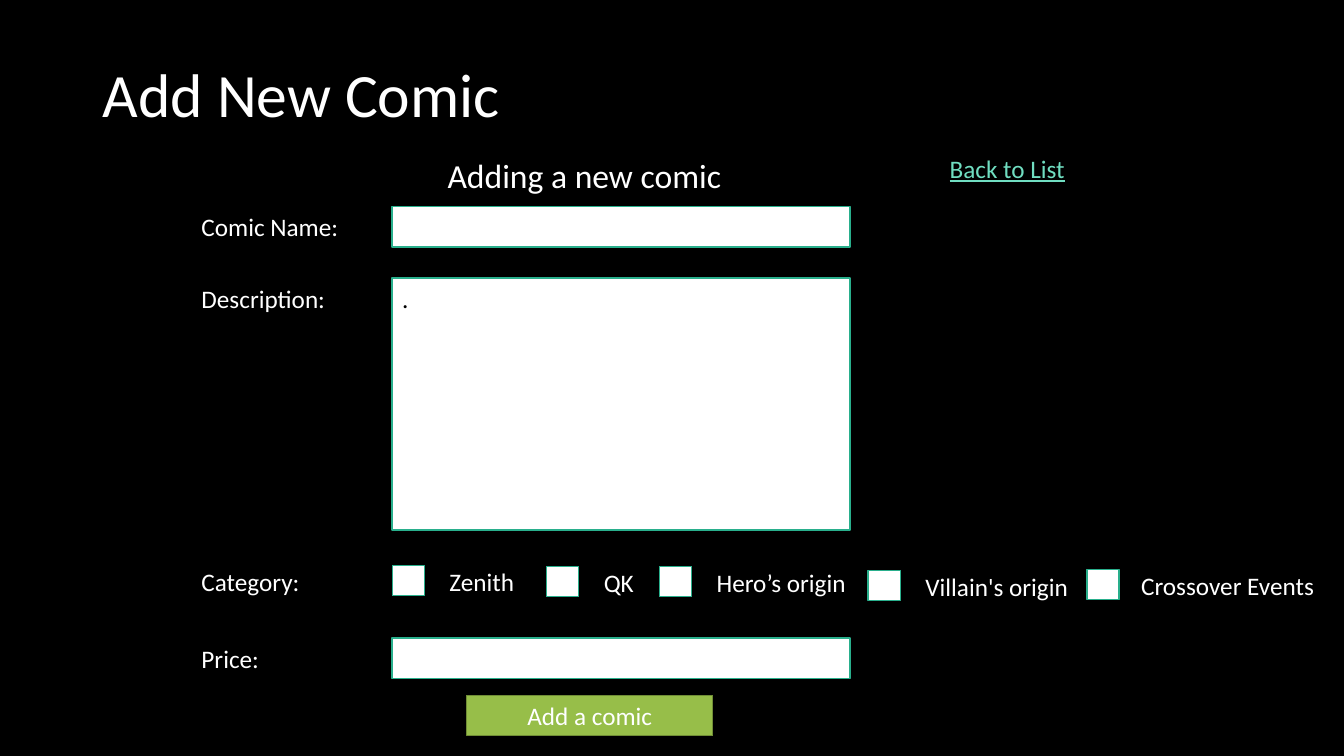
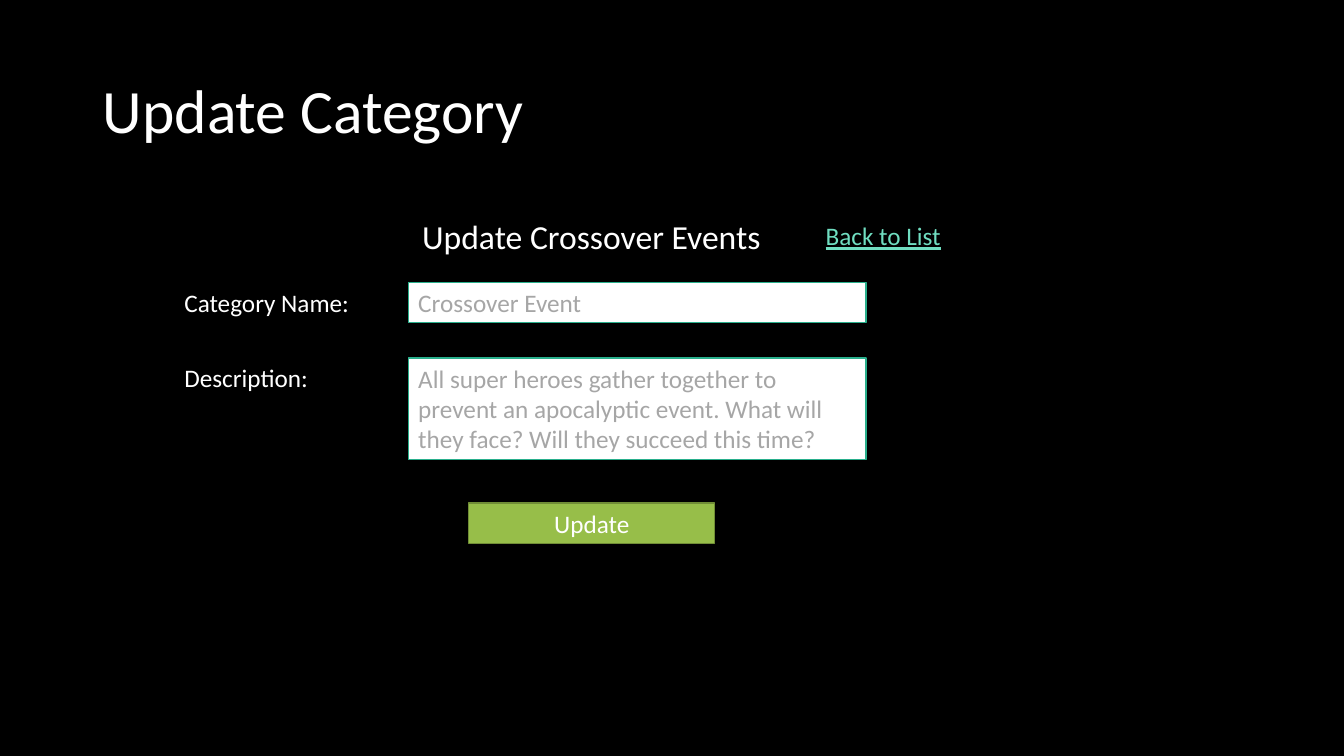
from collections import namedtuple
from dataclasses import dataclass

from pptx import Presentation
from pptx import util as u
from pptx.dml.color import RGBColor
from pptx.enum import shapes, text

PX = u.Inches(1) // 100
Box = namedtuple("Box", "left top width height")


@dataclass(frozen=True)
class Theme:
    font: str = "Calibri"
    back: str = "000000"
    light: str = "FFFFFF"
    dark: str = "000000"
    hint: str = "A6A6A6"
    link: str = "70DEC1"
    field_line: str = "29AF8C"
    button: str = "97BE49"
    button_line: str = "708D36"
    title_size: int = 44
    heading_size: int = 24
    body_size: int = 18


THEME = Theme()
ROW = 40
LABEL_WIDTH = 202
FIELD_WIDTH = 454


def emu(box):
    return [length * PX for length in box]


def write(shape, words, size=THEME.body_size, color=THEME.light, align=text.PP_ALIGN.LEFT,
          anchor=text.MSO_ANCHOR.TOP, underline=None, spacing=None):
    frame = shape.text_frame
    frame.word_wrap = True
    frame.auto_size = text.MSO_AUTO_SIZE.NONE
    frame.vertical_anchor = anchor
    para = frame.paragraphs[0]
    para.alignment = align
    para.line_spacing = spacing
    span = para.add_run()
    span.text = words
    font = span.font
    font.name, font.size, font.underline = THEME.font, u.Pt(size), underline
    font.color.rgb = RGBColor.from_string(color)


def add_text(page, box, words, **style):
    write(page.shapes.add_textbox(*emu(box)), words, **style)


def add_panel(page, box, fill=THEME.light, line=THEME.field_line, words="", **style):
    panel = page.shapes.add_shape(shapes.MSO_SHAPE.RECTANGLE, *emu(box))
    panel.shadow.inherit = False
    panel.fill.solid()
    panel.fill.fore_color.rgb = RGBColor.from_string(fill)
    panel.line.color.rgb = RGBColor.from_string(line)
    panel.line.width = u.Pt(1)
    if words:
        write(panel, words, **style)


def add_page(deck, title, top):
    page = deck.slides.add_slide(deck.slide_layouts.get_by_name("Title Only"))
    holder = page.shapes.title
    holder.left, holder.top, holder.width, holder.height = emu(Box(92, top, 1150, 145))
    write(holder, title, size=THEME.title_size, anchor=text.MSO_ANCHOR.MIDDLE, spacing=0.9)
    return page


def add_heading(page, left, top, words):
    add_text(page, Box(left, top, 705, 50), words, size=THEME.heading_size,
             align=text.PP_ALIGN.CENTER)


def add_back_link(page, left, top):
    add_text(page, Box(left, top, 240, ROW), "Back to List", color=THEME.link, underline=True)


def add_button(page, left, top, words):
    add_panel(page, Box(left, top, 244, ROW), THEME.button, THEME.button_line, words,
              align=text.PP_ALIGN.CENTER)


def add_fields(page, label_left, field_left, rows):
    """Place labelled entry fields; each row is (label, top, height, words)."""
    for label, top, height, words in rows:
        add_text(page, Box(label_left, top, LABEL_WIDTH, ROW), label)
        add_panel(page, Box(field_left, top, FIELD_WIDTH, height), words=words,
                  color=THEME.dark if words == "." else THEME.hint)


def add_choices(page, label_left, top, choices):
    """Place check boxes; each choice is (left, caption left, drop, caption)."""
    add_text(page, Box(label_left, top, LABEL_WIDTH, ROW), "Category:")
    for left, caption_left, drop, caption in choices:
        add_panel(page, Box(left, top + drop + 4, 32, 30))
        add_text(page, Box(caption_left, top + drop, 207, ROW), caption)


def add_comic_page(deck):
    page = add_page(deck, "Add New Comic", 24)
    add_heading(page, 227, 149, "Adding a new comic")
    add_back_link(page, 932, 147)
    add_fields(page, 190, 389, [
        ("Comic Name:", 205, ROW, ""),
        ("Description:", 276, 250, "."),
        ("Price:", 633, ROW, ""),
    ])
    add_choices(page, 190, 557, [
        (389, 436, 0, "Zenith"),
        (542, 589, 1, "QK"),
        (654, 701, 1, "Hero’s origin"),
        (861, 908, 5, "Villain's origin"),
        (1078, 1122, 4, "Crossover Events"),
    ])
    add_button(page, 463, 690, "Add a comic")


def add_category_page(deck):
    page = add_page(deck, "Update Category", 40)
    add_heading(page, 234, 209, "Update Crossover Events")
    add_back_link(page, 809, 214)
    add_fields(page, 173, 405, [
        ("Category Name:", 280, ROW, "Crossover Event"),
        ("Description:", 355, 101, "All super heroes gather together to prevent an apocalyptic "
                                   "event. What will they face? Will they succeed this time?"),
    ])
    add_button(page, 465, 499, "Update")


def main():
    deck = Presentation()
    deck.slide_width, deck.slide_height = 1333 * PX, 750 * PX
    fill = deck.slide_master.background.fill
    fill.solid()
    fill.fore_color.rgb = RGBColor.from_string(THEME.back)
    add_comic_page(deck)
    add_category_page(deck)
    deck.save("out.pptx")


if __name__ == "__main__":
    main()
